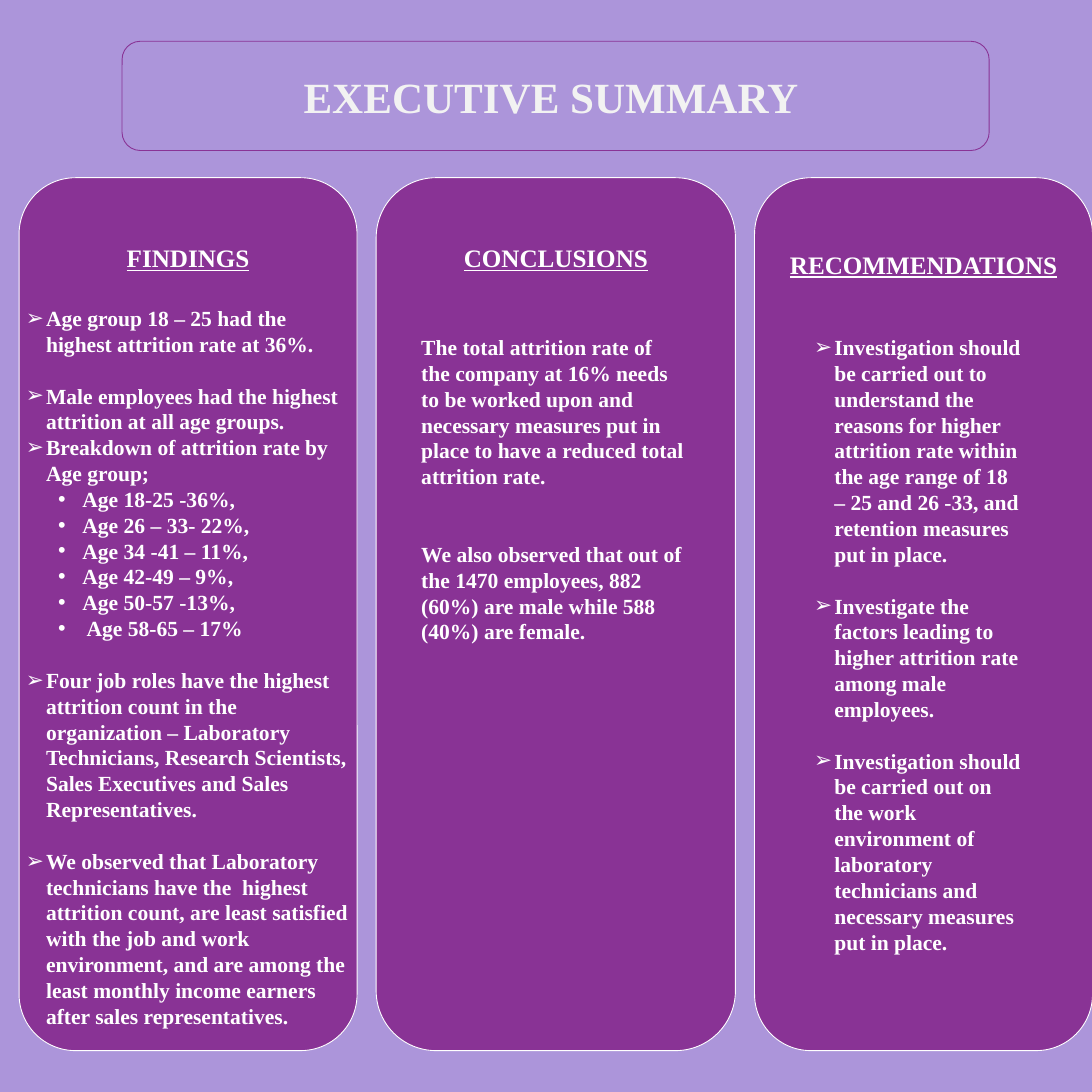
from lxml import etree
from pptx import Presentation
from pptx.dml.color import RGBColor
from pptx.enum import shapes, text
from pptx.oxml import ns
from pptx.util import Pt

LILAC = RGBColor(0xAC, 0x95, 0xDA)
PURPLE = RGBColor(0x89, 0x33, 0x95)
WHITE = RGBColor(0xFF, 0xFF, 0xFF)
PALE = RGBColor(0xF2, 0xF2, 0xF2)
FONT = "Times New Roman"
SIDE = 1216.8
LINE = 28.8
GAP = 21.3
PANEL_TOP, PANEL_HEIGHT = 198, 972.7
ARROW, DOT = "\u27a2", "\u2022"


def write(para, words, size=24, color=WHITE, underline=False, align=text.PP_ALIGN.LEFT,
          spacing=None, before=0, bullet=None, level=0, margin=0, hanging=0):
    """Fill a paragraph with one bold run and set its spacing, indent and bullet."""
    span = para.add_run()
    span.text = words
    span.font.name, span.font.size = FONT, Pt(size)
    span.font.bold, span.font.underline = True, underline
    span.font.color.rgb = color
    para.alignment, para.level = align, level
    para.space_before, para.space_after = Pt(before), Pt(0)
    if spacing:
        para.line_spacing = Pt(spacing)
    props = para._p.get_or_add_pPr()
    props.set("marL", str(Pt(margin)))
    props.set("indent", str(Pt(-hanging)))
    mark = etree.SubElement(props, ns.qn("a:buChar" if bullet else "a:buNone"))
    if bullet:
        mark.set("char", bullet)


def add_round_box(left, top, width, height, fill, line):
    """Add a flat rounded rectangle with a thin outline."""
    box = page.shapes.add_shape(shapes.MSO_SHAPE.ROUNDED_RECTANGLE,
                                Pt(left), Pt(top), Pt(width), Pt(height))
    box.shadow.inherit = False
    box.fill.solid()
    box.fill.fore_color.rgb = fill
    box.line.color.rgb = line
    box.line.width = Pt(1)
    return box


deck = Presentation()
deck.slide_width = deck.slide_height = Pt(SIDE)
page = deck.slides.add_slide(deck.slide_layouts.get_by_name("Comparison"))
page.background.fill.solid()
page.background.fill.fore_color.rgb = LILAC

# Paragraph formats: arrow points, dotted sub-points and plain text
POINT = dict(bullet=ARROW, margin=22.5, hanging=22.5)
SUBPOINT = dict(bullet=DOT, level=1, margin=63, hanging=27)
PLAIN = dict()

findings = [
    ("Age group 18 – 25 had the highest attrition rate at 36%.", POINT, 0),
    ("Male employees had the highest attrition at all age groups.", POINT, 1),
    ("Breakdown of attrition rate by Age group;", POINT, 0),
    ("Age 18-25 -36%,", SUBPOINT, 0),
    ("Age 26 – 33- 22%,", SUBPOINT, 0),
    ("Age 34 -41 – 11%,", SUBPOINT, 0),
    ("Age 42-49 – 9%,", SUBPOINT, 0),
    ("Age 50-57 -13%,", SUBPOINT, 0),
    (" Age 58-65 – 17%", SUBPOINT, 0),
    ("Four job roles have the highest attrition count in the organization – Laboratory "
     "Technicians, Research Scientists, Sales Executives and Sales Representatives.", POINT, 1),
    ("We observed that Laboratory technicians have the  highest attrition count, are least "
     "satisfied with the job and work environment, and are among the least monthly income "
     "earners after sales representatives.", POINT, 1),
]
conclusions = [
    ("The total attrition rate of the company at 16% needs to be worked upon and necessary "
     "measures put in place to have a reduced total attrition rate.", PLAIN, 0),
    ("We also observed that out of the 1470 employees, 882 (60%) are male while 588 (40%) "
     "are female.", PLAIN, 2),
]
recommendations = [
    ("Investigation should be carried out to understand the reasons for higher attrition rate "
     "within the age range of 18 – 25 and 26 -33, and retention measures put in place.",
     POINT, 0),
    ("Investigate the factors leading to higher attrition rate among male employees.", POINT, 1),
    ("Investigation should be carried out on the work environment of laboratory technicians "
     "and necessary measures put in place.", POINT, 1),
]

# Heading, panel width, heading inset, list left, top, width, height, list
columns = [
    ("FINDINGS", 376.6, 54, 21.6, 336.2, 376.6, 820, findings),
    ("CONCLUSIONS", 400.3, 53, 462.2, 368.6, 307.4, 424, conclusions),
    ("RECOMMENDATIONS", 376.6, 61, 900, 368.6, 244.8, 705, recommendations),
]

# Title and its frame
frame_left, frame_top, frame_width, frame_height = 136, 46, 966.2, 121.7
add_round_box(frame_left, frame_top, frame_width, frame_height, LILAC, PURPLE)
title = page.shapes.title
title.left, title.top = Pt(frame_left), Pt(frame_top)
title.width, title.height = Pt(frame_width - 10), Pt(frame_height)
title.text_frame.vertical_anchor = text.MSO_ANCHOR.MIDDLE
title.text_frame.auto_size = text.MSO_AUTO_SIZE.NONE
write(title.text_frame.paragraphs[0], "EXECUTIVE SUMMARY", size=48, color=PALE,
      align=text.PP_ALIGN.CENTER)
page.shapes._spTree.append(title._element)

# Three panels, each with a heading and a list in front
bodies = [holder for holder in page.placeholders if holder.placeholder_format.idx in range(1, 5)]
panel_left = GAP
for body, column in zip(bodies, columns):
    heading, panel_width, inset, left, top, width, height, entries = column
    panel = add_round_box(panel_left, PANEL_TOP, panel_width, PANEL_HEIGHT, PURPLE, WHITE)
    panel.text_frame.vertical_anchor = text.MSO_ANCHOR.TOP
    panel.text_frame.margin_top = Pt(inset)
    write(panel.text_frame.paragraphs[0], heading, size=28, underline=True,
          align=text.PP_ALIGN.CENTER)
    panel_left += panel_width + GAP

    body.left, body.top, body.width, body.height = Pt(left), Pt(top), Pt(width), Pt(height)
    body.text_frame.vertical_anchor = text.MSO_ANCHOR.TOP
    body.text_frame.auto_size = text.MSO_AUTO_SIZE.NONE
    for number, (words, style, skipped) in enumerate(entries):
        para = body.text_frame.add_paragraph() if number else body.text_frame.paragraphs[0]
        write(para, words, spacing=LINE, before=skipped * LINE, **style)
    page.shapes._spTree.append(body._element)

for spare in bodies[len(columns):]:
    page.shapes._spTree.remove(spare._element)

deck.save("out.pptx")
